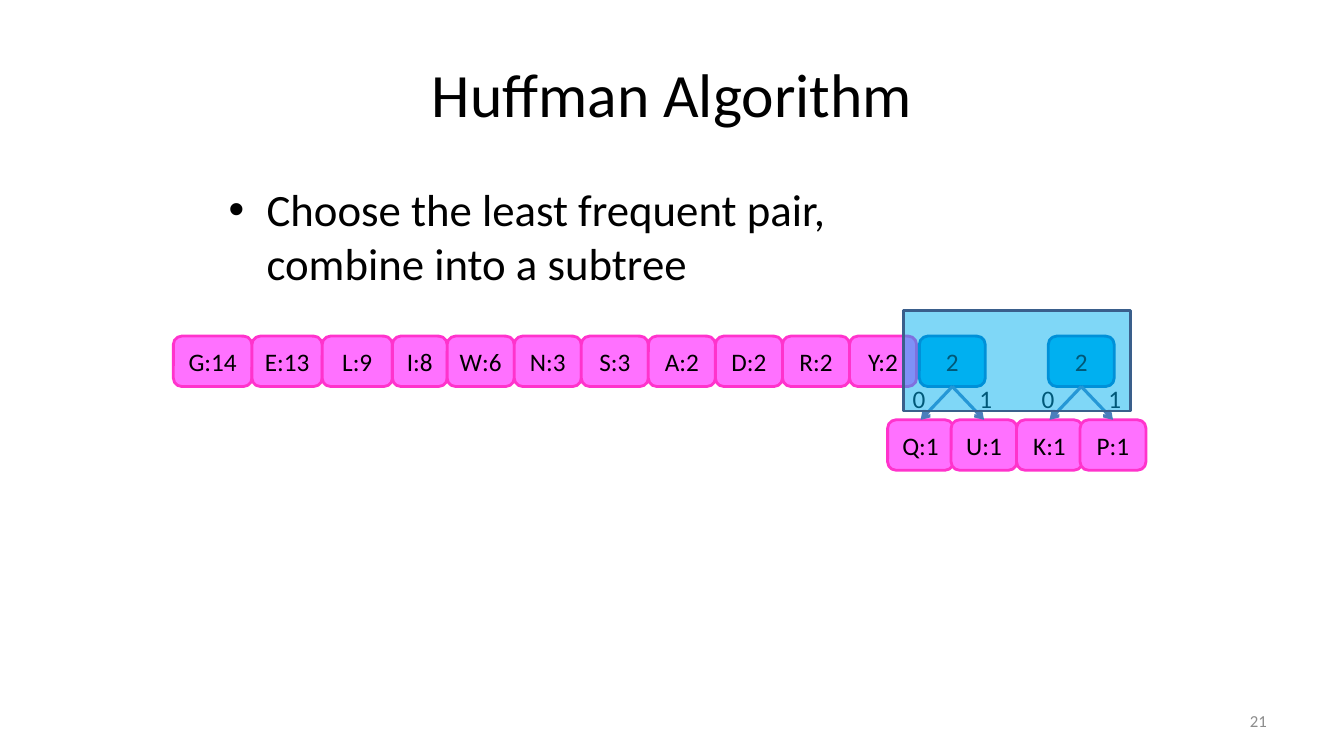
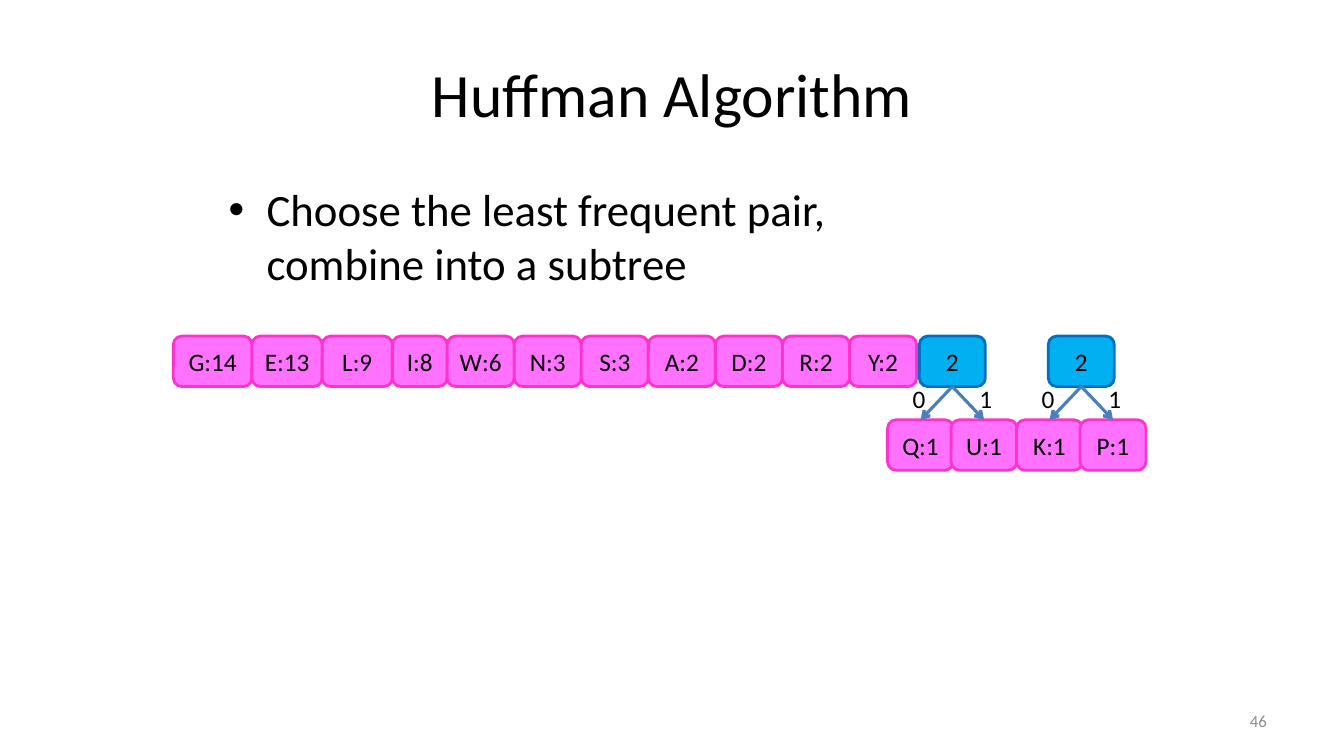
from lxml import etree
from pptx import Presentation
from pptx import util as u
from pptx.dml.color import RGBColor
from pptx.enum import shapes, text
from pptx.oxml.ns import qn

COLOURS = {
    "text": "000000",
    "number": "8C8C8C",
    "leaf": "FF71FF",
    "leaf_line": "FF33CC",
    "root": "00B0F0",
    "root_line": "0070C0",
    "arrow": "4B7EBC",
    "highlight_line": "3A5F8C",
}
FONT = "Calibri"

ROW_LEFT, ROW_TOP, CHILD_TOP = 4.37, 8.47, 10.58
NODE_WIDTH, NODE_HEIGHT = 1.66, 1.27
CHILD_PITCH = 1.6
LEAVES = [("G:14", 1.98), ("E:13", 1.77), ("L:9", 1.77), ("I:8", 1.38)]
LEAVES += [(label, 1.69) for label in ("W:6", "N:3", "S:3", "A:2", "D:2", "R:2", "Y:2")]
SUBTREES = [(22.37, "Q:1", "U:1"), (25.62, "K:1", "P:1")]
SLIDES = [("21", True), ("46", False)]  # slide number, highlight the two subtrees


def write(shape, content, size, colour="text"):
    """Put one formatted run into the shape and return its paragraph."""
    paragraph = shape.text_frame.paragraphs[0]
    run = paragraph.add_run()
    run.text = content
    run.font.name = FONT
    run.font.size = u.Pt(size)
    run.font.color.rgb = RGBColor.from_string(COLOURS[colour])
    return paragraph


def add_node(parent, label, left, top, width=NODE_WIDTH, kind="leaf"):
    node = parent.add_shape(shapes.MSO_SHAPE.ROUNDED_RECTANGLE,
                            u.Cm(left), u.Cm(top), u.Cm(width), u.Cm(NODE_HEIGHT))
    node.shadow.inherit = False
    node.fill.solid()
    node.fill.fore_color.rgb = RGBColor.from_string(COLOURS[kind])
    node.line.color.rgb = RGBColor.from_string(COLOURS[kind + "_line"])
    node.line.width = u.Pt(2)
    node.text_frame.word_wrap = False
    node.text_frame.vertical_anchor = text.MSO_ANCHOR.MIDDLE
    write(node, label, 18).alignment = text.PP_ALIGN.CENTER
    return node


presentation = Presentation()
presentation.slide_width = u.Cm(33.87)
presentation.slide_height = u.Cm(19.05)

# The layout places the title and the list for every slide
layout = presentation.slide_layouts[1]
places = [(1.7, 0.76, 30.48, 3.18), (5.51, 4.45, 18.8, 3.18)]
for placeholder, place in zip(layout.placeholders, places):
    placeholder.left, placeholder.top, placeholder.width, placeholder.height = map(u.Cm, place)

for number, highlighted in SLIDES:
    slide = presentation.slides.add_slide(layout)
    write(slide.shapes.title, "Huffman Algorithm", 44)
    write(slide.placeholders[1], "Choose the least frequent pair, combine into a subtree", 32)

    number_box = slide.shapes.add_textbox(u.Cm(24.28), u.Cm(17.65), u.Cm(7.9), u.Cm(1.02))
    number_box.text_frame.word_wrap = True
    number_box.text_frame.vertical_anchor = text.MSO_ANCHOR.MIDDLE
    write(number_box, number, 12, "number").alignment = text.PP_ALIGN.RIGHT

    left = ROW_LEFT
    for label, width in LEAVES:
        add_node(slide.shapes, label, left, ROW_TOP, width)
        left += width

    for left, *labels in SUBTREES:
        subtree = slide.shapes.add_group_shape().shapes
        children = [add_node(subtree, label, left + i * CHILD_PITCH, CHILD_TOP)
                    for i, label in enumerate(labels)]
        root = add_node(subtree, "2", left + CHILD_PITCH / 2, ROW_TOP, kind="root")

        for child in children:
            arrow = subtree.add_connector(
                shapes.MSO_CONNECTOR.STRAIGHT,
                root.left + root.width // 2, root.top + root.height,
                child.left + child.width // 2, child.top)
            arrow.begin_connect(root, 2)
            arrow.end_connect(child, 0)
            arrow.line.color.rgb = RGBColor.from_string(COLOURS["arrow"])
            arrow.line.width = u.Pt(2.25)
            etree.SubElement(arrow.line._get_or_add_ln(), qn("a:tailEnd"), type="arrow")
            etree.SubElement(arrow._element.spPr, qn("a:effectLst"))

        for bit, offset in (("0", 0.38), ("1", 2.06)):
            bit_box = subtree.add_textbox(u.Cm(left + offset), u.Cm(9.54), u.Cm(0.84), u.Cm(1.02))
            bit_box.text_frame.word_wrap = False
            write(bit_box, bit, 18)

    if highlighted:
        highlight = slide.shapes.add_shape(shapes.MSO_SHAPE.RECTANGLE,
                                           u.Cm(22.76), u.Cm(7.82), u.Cm(5.74), u.Cm(2.54))
        highlight.shadow.inherit = False
        highlight.fill.solid()
        highlight.fill.fore_color.rgb = RGBColor.from_string(COLOURS["root"])
        fill_colour = highlight._element.spPr.find(qn("a:solidFill"))[0]
        etree.SubElement(fill_colour, qn("a:alpha"), val="50000")
        highlight.line.color.rgb = RGBColor.from_string(COLOURS["highlight_line"])
        highlight.line.width = u.Pt(2)

presentation.save("out.pptx")
